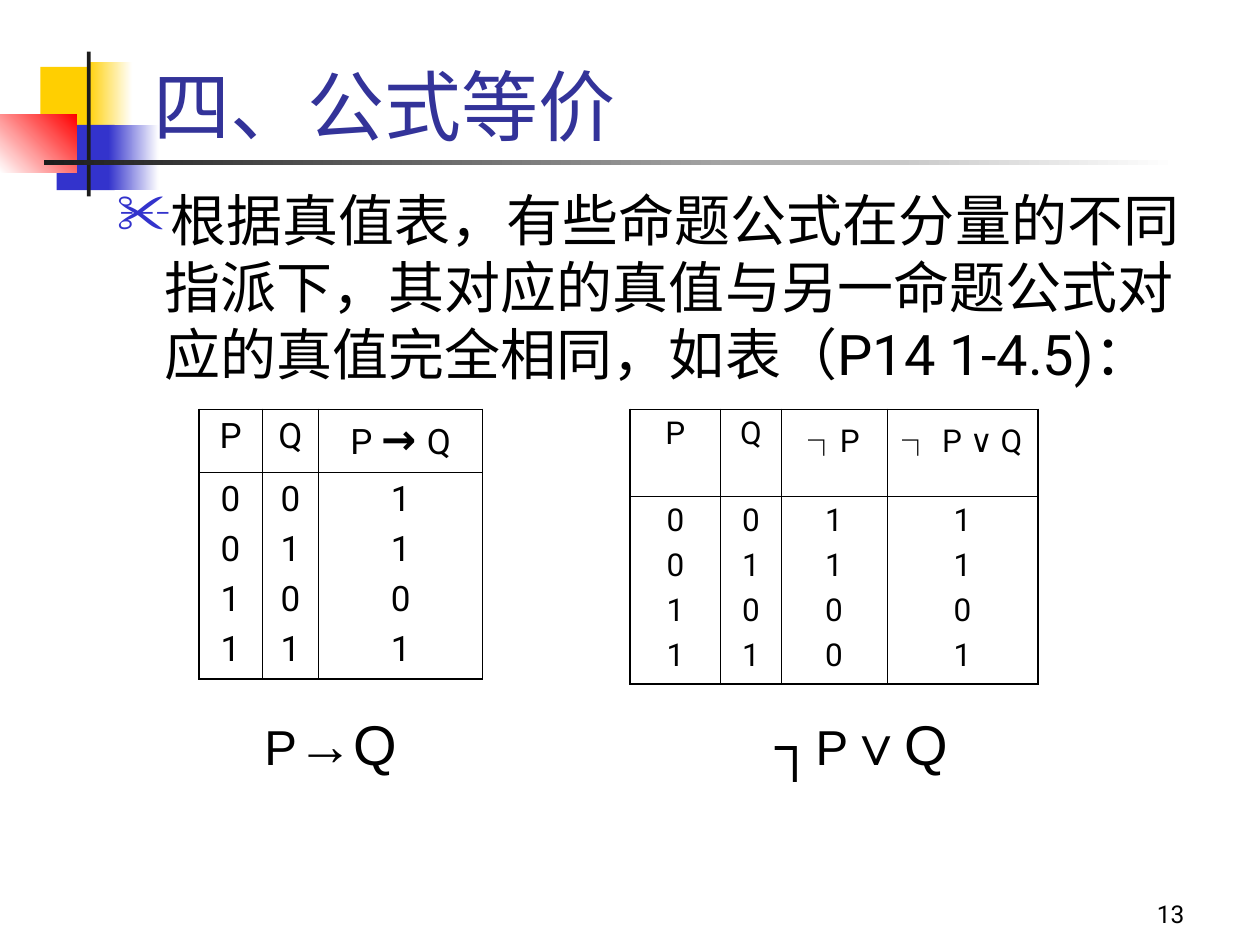
from dataclasses import dataclass
from typing import Any

from lxml.etree import SubElement
from pptx import Presentation
from pptx.dml.color import RGBColor
from pptx.enum.shapes import MSO_SHAPE as Shape
from pptx.enum.text import MSO_ANCHOR as Anchor, MSO_AUTO_SIZE as AutoSize, PP_ALIGN as Align
from pptx.oxml.ns import qn
from pptx.util import Inches, Pt

COLORS = {
    "yellow": "FFCF01", "blue": "3333CC", "red": "FF0000", "dark": "1C1C1C",
    "white": "FFFFFF", "title": "333399", "text": "000000",
}
CJK = "Noto Sans CJK SC"


def rgb(name):
    return RGBColor.from_string(COLORS[name])


@dataclass
class SlideBuilder:
    page: Any
    font: str = "Roboto"
    outer_line: float = 1.08
    inner_line: float = 0.45

    def span(self, para, text, size, font=None, color="text", bold=False):
        span = para.add_run()
        span.text = text
        span.font.size, span.font.bold = Pt(size), bold
        span.font.name = font or self.font
        span.font.color.rgb = rgb(color)
        # East Asian characters take their typeface from a separate element
        SubElement(span._r.get_or_add_rPr(), qn("a:ea"), typeface=span.font.name)

    def block(self, at, fill, end=None, angle=0):
        """Draw a borderless rectangle, fading to the end colour if given."""
        box = self.page.shapes.add_shape(Shape.RECTANGLE, *map(Inches, at))
        box.shadow.inherit = False
        box.line.fill.background()
        if end is None:
            box.fill.solid()
            box.fill.fore_color.rgb = rgb(fill)
            return
        box.fill.gradient()
        box.fill.gradient_angle = angle
        for stop, color in zip(box.fill.gradient_stops, (fill, end)):
            stop.color.rgb = rgb(color)

    def title(self, at, text, size):
        box = self.page.shapes.title
        box.left, box.top, box.width, box.height = map(Inches, at)
        box.element.getparent().append(box.element)  # in front of the blocks
        box.text_frame.vertical_anchor = Anchor.BOTTOM
        para = box.text_frame.paragraphs[0]
        para.alignment = Align.LEFT
        self.span(para, text, size, color="title")

    def text(self, at, spans, align=Align.LEFT, anchor=Anchor.TOP, grow=False):
        """Add a one-paragraph box; each span is (text, size, font, colour, bold)."""
        box = self.page.shapes.add_textbox(*map(Inches, at))
        frame = box.text_frame
        frame.word_wrap = not grow
        frame.auto_size = AutoSize.SHAPE_TO_FIT_TEXT if grow else AutoSize.NONE
        frame.vertical_anchor = anchor
        para = frame.paragraphs[0]
        para.alignment = align
        for span in spans:
            self.span(para, *span)
        return para

    def bullet(self, para, char, color, indent):
        props = para._p.get_or_add_pPr()
        props.set("marL", str(Inches(indent)))
        props.set("indent", str(-Inches(indent)))
        SubElement(SubElement(props, qn("a:buClr")), qn("a:srgbClr"), val=COLORS[color])
        SubElement(props, qn("a:buChar"), char=char)

    def borders(self, cell, outer):
        """Rule all four sides, heavier on those named in outer."""
        for side in "LRTB":
            width = self.outer_line if side in outer else self.inner_line
            line = SubElement(cell._tc.get_or_add_tcPr(), qn(f"a:ln{side}"), w=str(Pt(width)))
            SubElement(SubElement(line, qn("a:solidFill")), qn("a:srgbClr"), val=COLORS["text"])

    def truth_table(self, left, top, widths, heights, size, columns):
        """Each column is (header spans, string of truth values)."""
        table = self.page.shapes.add_table(
            2, len(columns), Inches(left), Inches(top),
            Inches(sum(widths)), Inches(sum(heights))).table
        table.first_row = table.horz_banding = False
        for row, height in zip(table.rows, heights):
            row.height = Inches(height)
        for col, (header, values) in enumerate(columns):
            table.columns[col].width = Inches(widths[col])
            sides = "L" * (col == 0) + "R" * (col == len(columns) - 1)
            contents = [header], [[(value, size)] for value in values]
            for row, lines in enumerate(contents):
                cell = table.cell(row, col)
                self.borders(cell, sides + "TB"[row])
                cell.fill.background()
                for number, spans in enumerate(lines):
                    frame = cell.text_frame
                    para = frame.add_paragraph() if number else frame.paragraphs[0]
                    para.alignment = Align.CENTER
                    if number:
                        para.space_before = Pt(size / 4)
                    for span in spans:
                        self.span(para, *span)


def main():
    deck = Presentation()
    deck.slide_width, deck.slide_height = Inches(10), Inches(7.5)
    page = SlideBuilder(deck.slides.add_slide(deck.slide_layouts[5]))

    page.block((0.32, 0.53, 0.48, 0.52), "yellow")
    page.block((0.69, 0.49, 0.36, 0.52), "yellow", "white")
    page.block((0.45, 0.99, 0.46, 0.52), "blue")
    page.block((0.86, 0.99, 0.4, 0.52), "blue", "white")
    page.block((0, 0.91, 0.61, 0.46), "white", "red", angle=45)
    page.block((0.69, 0.41, 0.03, 1.15), "dark")
    page.block((0.35, 1.27, 9, 0.04), "dark", "white")

    page.text((7.42, 6.92, 2.08, 0.5), [("13", 14)], Align.RIGHT, Anchor.BOTTOM)
    page.title((1.12, 0, 8.52, 1.25), "四、公式等价", 44)
    statement = page.text((0.83, 1.42, 9, 5.33), [(
        "根据真值表，有些命题公式在分量的不同指派下，其对应的真值与另一命题公式"
        "对应的真值完全相同，如表（P14 1-4.5)：", 32)])
    page.bullet(statement, "✂", "blue", 0.38)

    page.truth_table(1.58, 3.25, (0.5, 0.45, 1.3), (0.5, 1.64), 20, [
        ([("P", 20)], "0011"),
        ([("Q", 20)], "0101"),
        ([("P ", 20), ("→ ", 24, None, "text", True), ("Q", 20)], "1101"),
    ])
    negation = ("┐", 18, CJK, "text", True)
    page.truth_table(5, 3.25, (0.72, 0.48, 0.84, 1.2), (0.69, 1.49), 18, [
        ([("P", 18)], "0011"),
        ([("Q", 18)], "0101"),
        ([negation, ("P", 18)], "1100"),
        ([negation, (" P ∨ Q", 18)], "1101"),
    ])

    page.text((2, 5.58, 1.25, 0.64), [("P", 28, "Arial"), ("→Q", 32, "Arial")])
    page.text((6.06, 5.58, 1.6, 0.64), [
        ("┐", 32, "Arial", "text", True), ("P", 28, "Arial"), ("∨Q", 32, "Arial"),
    ], grow=True)
    deck.save("out.pptx")


if __name__ == "__main__":
    main()
